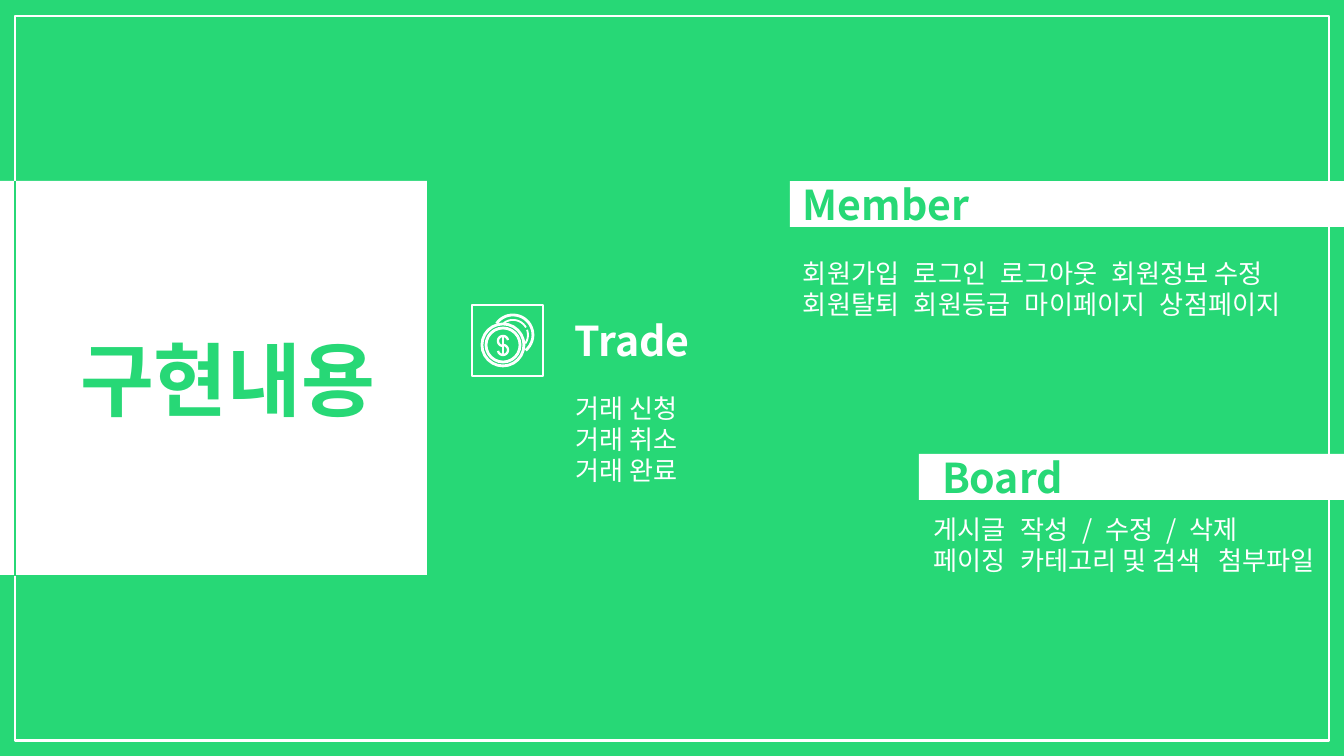
import math
from dataclasses import dataclass

from lxml import etree
from pptx import Presentation
from pptx.dml.color import RGBColor
from pptx.enum.shapes import MSO_CONNECTOR, MSO_SHAPE
from pptx.enum.text import MSO_ANCHOR
from pptx.oxml.ns import qn
from pptx.util import Pt

RECT, OVAL = MSO_SHAPE.RECTANGLE, MSO_SHAPE.OVAL
STRAIGHT = MSO_CONNECTOR.STRAIGHT
MIDDLE = MSO_ANCHOR.MIDDLE

SCALE = 914400 / 134.4
INSET = 13
FONT = "Noto Sans CJK KR"
COLORS = {"green": "27D876", "white": "FFFFFF"}


@dataclass
class Box:
    x: int
    y: int
    w: int
    h: int


@dataclass
class Label:
    box: Box
    text: str
    size: int
    color: str


@dataclass
class Line:
    words: list[str]
    starts: list[int]


@dataclass
class Body:
    box: Box
    lines: list[Line]


@dataclass
class Arc:
    x: int
    y: int
    radius: int
    start: int
    end: int


def px(value: float) -> int:
    return round(value * SCALE)


def rgb(name: str) -> RGBColor:
    return RGBColor.from_string(COLORS[name])


def style_line(sp, color: str, width: float) -> None:
    sp.line.color.rgb = rgb(color)
    sp.line.width = Pt(width)


def add_shape(s, kind, box: Box, fill: str = "", line: float = 0):
    sp = s.shapes.add_shape(kind, px(box.x), px(box.y), px(box.w), px(box.h))
    sp.shadow.inherit = False
    if fill:
        sp.fill.solid()
        sp.fill.fore_color.rgb = rgb(fill)
    else:
        sp.fill.background()
    if line:
        style_line(sp, "white", line)
    else:
        sp.line.fill.background()
    return sp


def add_line(s, x1: int, y1: int, x2: int, y2: int, color: str, width: float) -> None:
    sp = s.shapes.add_connector(STRAIGHT, px(x1), px(y1), px(x2), px(y2))
    style_line(sp, color, width)
    etree.SubElement(sp._element.spPr, qn("a:effectLst"))


def add_curve(s, arcs: list[Arc], width: float) -> None:
    points = []
    for arc in arcs:
        for i in range(25):
            angle = math.radians(arc.start + (arc.end - arc.start) * i / 24)
            points.append((px(arc.x + arc.radius * math.cos(angle)),
                           px(arc.y + arc.radius * math.sin(angle))))
    builder = s.shapes.build_freeform(*points[0])
    builder.add_line_segments(points[1:], close=False)
    sp = builder.convert_to_shape()
    sp.shadow.inherit = False
    sp.fill.background()
    style_line(sp, "white", width)


def add_text_frame(s, box: Box):
    tf = s.shapes.add_textbox(px(box.x), px(box.y), px(box.w), px(box.h)).text_frame
    tf.word_wrap = True
    tf.vertical_anchor = MIDDLE
    tf.margin_left = tf.margin_right = tf.margin_top = tf.margin_bottom = px(INSET)
    return tf


def format_runs(p, size: int, color: str, bold: bool) -> None:
    for r in p.runs:
        r.font.size = Pt(size)
        r.font.bold = bold
        r.font.color.rgb = rgb(color)
        r.font.name = FONT
        etree.SubElement(r._r.get_or_add_rPr(), qn("a:ea"), typeface=FONT)


def add_label(s, label: Label) -> None:
    tf = add_text_frame(s, label.box)
    tf.text = label.text
    format_runs(tf.paragraphs[0], label.size, label.color, True)


def add_body(s, body: Body) -> None:
    tf = add_text_frame(s, body.box)
    for i, line in enumerate(body.lines):
        p = tf.add_paragraph() if i else tf.paragraphs[0]
        p.text = "\t".join(line.words)
        p.line_spacing = Pt(16.6)
        if line.starts:
            tabs = etree.SubElement(p._p.get_or_add_pPr(), qn("a:tabLst"))
            for start in line.starts:
                pos = px(start - body.box.x - INSET)
                etree.SubElement(tabs, qn("a:tab"), pos=str(pos), algn="l")
        format_runs(p, 14, "white", False)


def add_coins(s) -> None:
    add_shape(s, RECT, Box(472, 305, 71, 71), line=0.75)
    for radius in (21, 17):
        add_shape(s, OVAL, Box(503 - radius, 345 - radius, 2 * radius, 2 * radius), line=1.5)
    add_curve(s, [Arc(513, 335, 20, -145, 50)], 1.5)
    add_curve(s, [Arc(513, 335, 15, -128, -30)], 1)
    add_curve(s, [Arc(513, 335, 15, -20, 35)], 1)
    add_curve(s, [Arc(503, 341, 5, -10, -270), Arc(503, 350, 5, -90, 170)], 1.25)
    add_line(s, 503, 335, 503, 356, "white", 1.25)


MEMBER_BAR = Box(790, 181, 554, 46)
BOARD_BAR = Box(919, 454, 425, 46)

LABELS = [
    Label(Box(67, 321, 333, 114), "구현내용", 43, "green"),
    Label(Box(562, 317, 149, 46), "Trade", 22, "white"),
    Label(Box(790, 181, 243, 46), "Member", 22, "green"),
    Label(Box(929, 454, 297, 46), "Board", 22, "green"),
]

BODIES = [
    Body(Box(562, 378, 297, 122),
         [Line([f"거래 {step}"], []) for step in ("신청", "취소", "완료")]),
    Body(Box(790, 242, 527, 93), [
        Line(["회원가입", "로그인", "로그아웃", "회원정보 수정"], [914, 1001, 1112]),
        Line(["회원탈퇴", "회원등급", "마이페이지", "상점페이지"], [914, 1025, 1160]),
    ]),
    Body(Box(920, 515, 415, 60), [
        Line(["게시글", "작성", "/", "수정", "/", "삭제"], [1020, 1082, 1105, 1166, 1189]),
        Line(["페이징", "카테고리 및 검색", "첨부파일"], [1020, 1218]),
    ]),
]


def main() -> None:
    prs = Presentation()
    prs.slide_width, prs.slide_height = px(1344), px(756)
    s = prs.slides.add_slide(prs.slide_layouts[6])
    s.background.fill.solid()
    s.background.fill.fore_color.rgb = rgb("green")

    add_shape(s, RECT, Box(15, 16, 1314, 725), line=1.5)
    add_shape(s, RECT, Box(0, 181, 427, 394), "white")
    add_line(s, 15, 181, 15, 576, "green", 1.5)
    for bar in (BOARD_BAR, MEMBER_BAR):
        add_shape(s, RECT, bar, "white")
    for label in LABELS:
        add_label(s, label)
    for body in BODIES:
        add_body(s, body)
    add_coins(s)
    prs.save("out.pptx")


if __name__ == "__main__":
    main()
